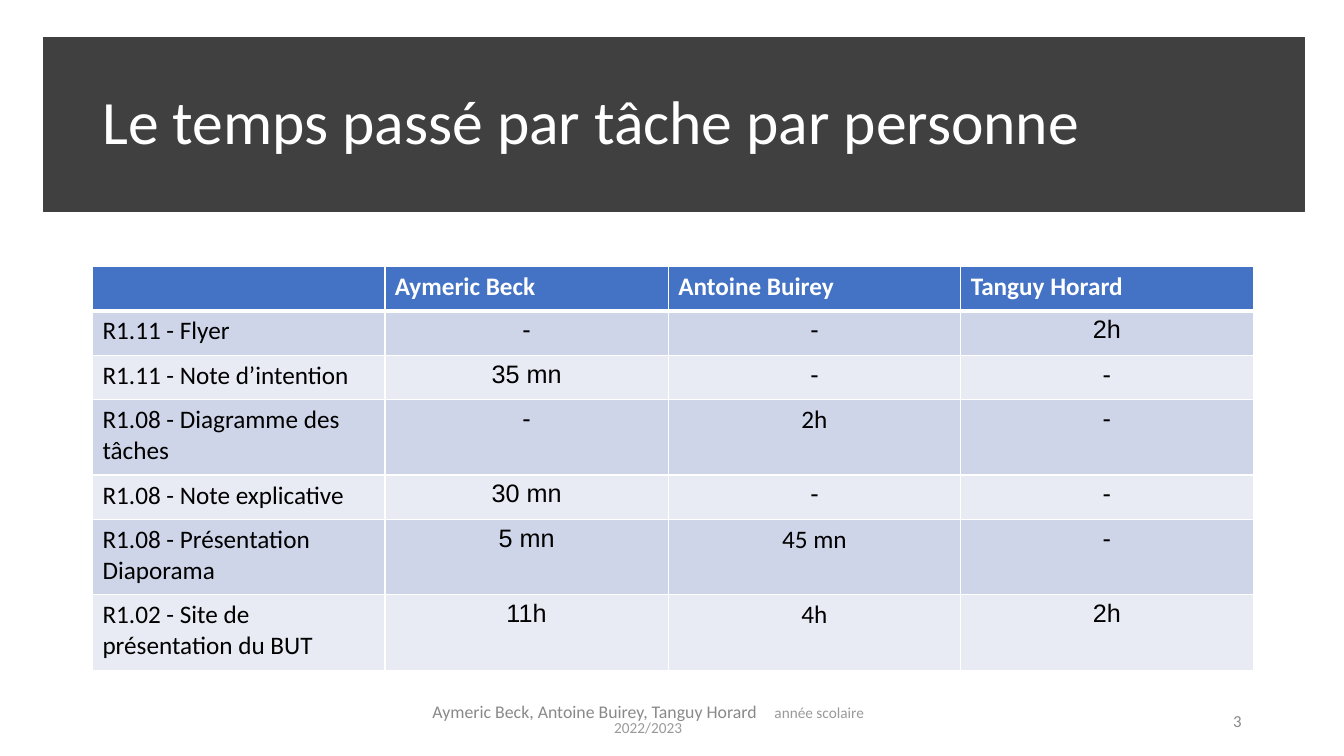
import pptx
import pptx.util
import pptx.dml.color
import pptx.enum.shapes
import pptx.enum.text
import pptx.oxml.ns
import lxml.etree

Cm, Pt = pptx.util.Cm, pptx.util.Pt
ALIGN = pptx.enum.text.PP_ALIGN
MIDDLE = pptx.enum.text.MSO_ANCHOR.MIDDLE

# Content
TITLE = "Le temps passé par tâche par personne"
TEAM = ["Aymeric Beck", "Antoine Buirey", "Tanguy Horard"]
YEAR = "année scolaire 2022/2023"
PAGE = "3"
TASKS = [
    ("R1.11 - Flyer", "-", "-", "2h"),
    ("R1.11 - Note d’intention", "35 mn", "-", "-"),
    ("R1.08 - Diagramme des tâches", "-", "2h", "-"),
    ("R1.08 - Note explicative", "30 mn", "-", "-"),
    ("R1.08 - Présentation Diaporama", "5 mn", "45 mn", "-"),
    ("R1.02 - Site de présentation du BUT", "11h", "4h", "2h"),
]
WIDTHS = [7.37, 7.14, 7.37, 7.37]
LOW, HIGH = 1.12, 1.9
HEIGHTS = [LOW, LOW, LOW, HIGH, LOW, HIGH, HIGH]
HEAD, BANDS = "4472C4", ["CFD5E9", "E8EBF4"]
DARK, WHITE, BLACK, GREY, PALE = "404040", "FFFFFF", "000000", "898989", "999999"
LEFT, WIDE = 2.33, 29.21


def color(code):
    return pptx.dml.color.RGBColor.from_string(code)


def add_run(para, text, size, code, face="Calibri", bold=False):
    run = para.add_run()
    run.text = text
    font = run.font
    font.size, font.name, font.bold = Pt(size), face, bold
    font.color.rgb = color(code)
    return run


def add_box(left, top, width, height, align):
    box = slide.shapes.add_textbox(Cm(left), Cm(top), Cm(width), Cm(height))
    frame = box.text_frame
    frame.word_wrap = True
    frame.vertical_anchor = MIDDLE
    para = frame.paragraphs[0]
    para.alignment = align
    return para


def add_edges(cell, row):
    thick = {0: "lnB", 1: "lnT"}.get(row)
    props = cell._tc.get_or_add_tcPr()
    for side in ("lnL", "lnR", "lnT", "lnB"):
        line = lxml.etree.SubElement(props, pptx.oxml.ns.qn("a:" + side))
        line.set("w", str(Pt(3 if side == thick else 0.96)))
        fill = lxml.etree.SubElement(line, pptx.oxml.ns.qn("a:solidFill"))
        lxml.etree.SubElement(fill, pptx.oxml.ns.qn("a:srgbClr")).set("val", WHITE)


deck = pptx.Presentation()
deck.slide_width, deck.slide_height = Cm(33.87), Cm(19.05)
slide = deck.slides.add_slide(deck.slide_layouts[6])

# Title band
band = slide.shapes.add_shape(pptx.enum.shapes.MSO_SHAPE.RECTANGLE,
                              Cm(1.09), Cm(0.94), Cm(31.78), Cm(4.39))
band.shadow.inherit = False
band.fill.solid()
band.fill.fore_color.rgb = color(DARK)
band.line.color.rgb = color(DARK)
band.line.width = Pt(1)

title = add_box(LEFT, 1.3, WIDE, 3.68, ALIGN.LEFT)
title.line_spacing = 0.9
add_run(title, TITLE, 44, WHITE)

# Footer: names, a wide gap, then the school year
foot = add_box(10.01, 17.65, 12.65, 1.02, ALIGN.CENTER)
foot.line_spacing = 0.8
foot.space_after = Pt(6)
add_run(foot, ", ".join(TEAM), 12.7, GREY)
gap = add_run(foot, " ", 10.9, PALE)
gap._r.get_or_add_rPr().set("spc", "980")
add_run(foot, YEAR, 10.9, PALE)

page = add_box(23.92, 17.65, 7.62, 1.02, ALIGN.RIGHT)
page.space_after = Pt(6)
add_run(page, PAGE, 12, GREY)

# Table of hours
rows = [["", *TEAM], *TASKS]
table = slide.shapes.add_table(len(rows), len(WIDTHS), Cm(LEFT), Cm(6.71),
                               Cm(WIDE), Cm(sum(HEIGHTS))).table
table.first_row = table.horz_banding = False
for col, width in zip(table.columns, WIDTHS):
    col.width = Cm(width)
for line, height in zip(table.rows, HEIGHTS):
    line.height = Cm(height)

for r, row in enumerate(rows):
    for c, text in enumerate(row):
        cell = table.cell(r, c)
        add_edges(cell, r)
        cell.fill.solid()
        cell.fill.fore_color.rgb = color(BANDS[(r - 1) % 2] if r else HEAD)
        para = cell.text_frame.paragraphs[0]
        para.alignment = ALIGN.CENTER if r and c else ALIGN.LEFT
        # Labels and the hours of the second person are in Calibri
        plain = r == 0 or c == 0 or (c == 2 and text != "-")
        if text:
            add_run(para, text, 18, BLACK if r else WHITE,
                    "Calibri" if plain else "Arial", r == 0)

deck.save("out.pptx")
